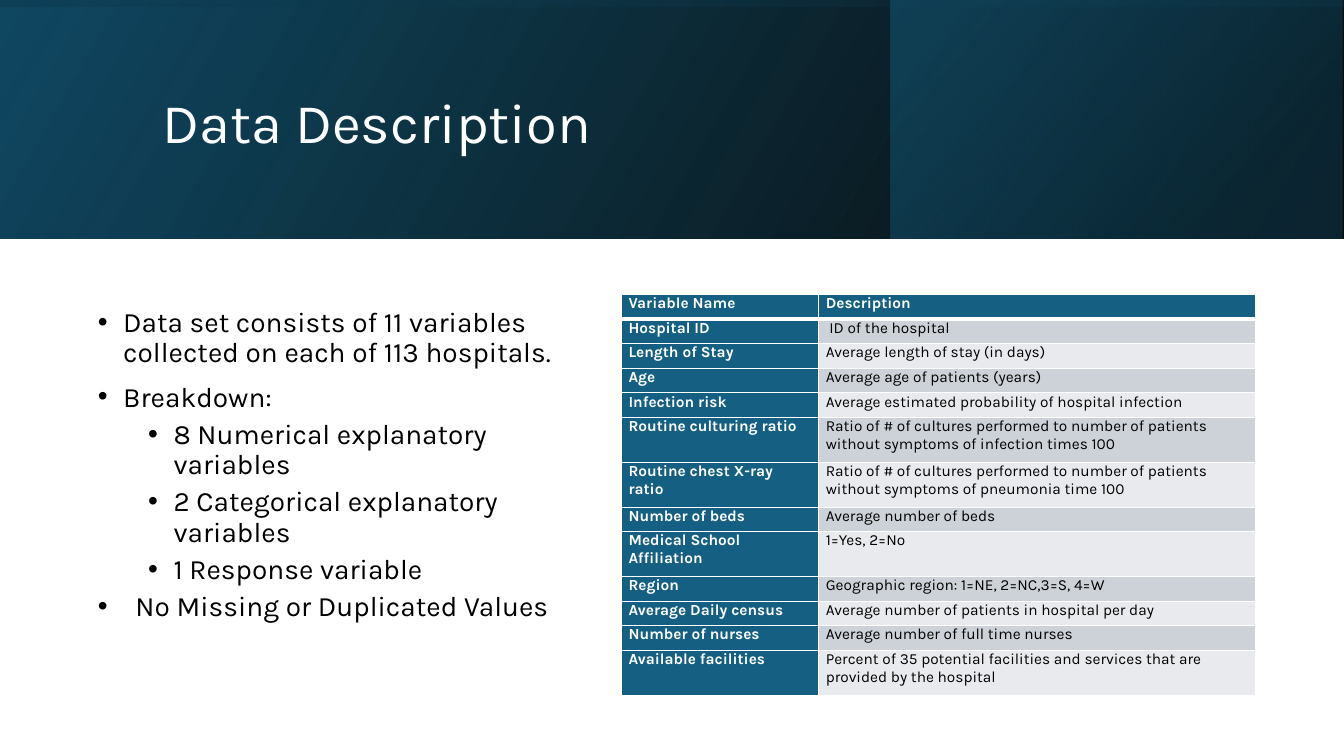
from dataclasses import dataclass

import pptx
import pptx.util
import pptx.oxml.ns
from lxml import etree
from pptx.dml.color import RGBColor
from pptx.enum.shapes import MSO_SHAPE
from pptx.enum.text import MSO_ANCHOR, MSO_AUTO_SIZE, PP_ALIGN

Cm = pptx.util.Cm
Pt = pptx.util.Pt
qn = pptx.oxml.ns.qn


@dataclass(frozen=True)
class Theme:
    font: str = "Karla"
    title_size: int = 40
    list_size: int = 20
    table_size: int = 11
    light: str = "FFFFFF"
    dark: str = "000000"
    accent: str = "156082"
    deep: str = "104862"
    shade: str = "0B3041"
    bands: tuple = ("CCD2D8", "E8EAED")


THEME = Theme()
SLIDE_WIDTH, SLIDE_HEIGHT, BANNER_HEIGHT = 33.87, 19.05, 6.02

TITLE = "Data Description"
POINTS = [
    ("Data set consists of 11 variables collected on each of 113 hospitals.", 0, 0.64, 0.64),
    ("Breakdown:", 0, 0.64, 0.64),
    ("8 Numerical explanatory variables", 1, 1.91, 0.64),
    ("2 Categorical explanatory variables", 1, 1.91, 0.64),
    ("1 Response variable", 1, 1.91, 0.64),
    ("No Missing or Duplicated Values", 1, 0.95, 0.95),
]
VARIABLES = [
    ("Variable Name", "Description"),
    ("Hospital ID", " ID of the hospital"),
    ("Length of Stay", "Average length of stay (in days)"),
    ("Age", "Average age of patients (years)"),
    ("Infection risk", "Average estimated probability of hospital infection"),
    ("Routine culturing ratio",
     "Ratio of # of cultures performed to number of patients without symptoms of infection times 100"),
    ("Routine chest X-ray ratio",
     "Ratio of # of cultures performed to number of patients without symptoms of pneumonia time 100"),
    ("Number of beds", "Average number of beds"),
    ("Medical School Affiliation", "1=Yes, 2=No"),
    ("Region", "Geographic region: 1=NE, 2=NC,3=S, 4=W"),
    ("Average Daily census", "Average number of patients in hospital per day"),
    ("Number of nurses", "Average number of full time nurses"),
    ("Available facilities",
     "Percent of 35 potential facilities and services that are provided by the hospital"),
]
TWO_LINE_ROWS = {5, 6, 8, 12}
COLUMN_WIDTHS = (4.97, 11.03)
ROW_HEIGHT, TWO_LINE_HEIGHT = 0.62, 1.13

SIDE = (SLIDE_WIDTH - BANNER_HEIGHT) / 2
BANNER_LAYERS = [
    ((0, 0, SLIDE_WIDTH, BANNER_HEIGHT), 0, 330,
     [(0, THEME.dark, 96), (100, THEME.deep, 100)]),
    ((22.45, 0, 11.39, BANNER_HEIGHT), 0, 320,
     [(19, THEME.shade, 68), (100, THEME.accent, 48)]),
    ((SIDE, -SIDE, BANNER_HEIGHT, SLIDE_WIDTH), 270, 350,
     [(23, THEME.deep, 16), (99, THEME.dark, 45)]),
]


def style_font(paragraph, size, color, bold=False):
    paragraph.font.name = THEME.font
    paragraph.font.size = Pt(size)
    paragraph.font.bold = bold
    paragraph.font.color.rgb = RGBColor.from_string(color)


def place(placeholder, left, top, width, height):
    placeholder.left, placeholder.top = Cm(left), Cm(top)
    placeholder.width, placeholder.height = Cm(width), Cm(height)
    frame = placeholder.text_frame
    frame.word_wrap = True
    frame.auto_size = MSO_AUTO_SIZE.NONE
    frame.vertical_anchor = MSO_ANCHOR.MIDDLE
    return frame


def add_banner_layer(slide, box, rotation, angle, stops):
    layer = slide.shapes.add_shape(MSO_SHAPE.RECTANGLE, *map(Cm, box))
    layer.shadow.inherit = False
    layer.rotation = rotation
    layer._element.spPr.xfrm.set("flipH", "1")
    layer.fill.gradient()
    layer.fill.gradient_angle = 360 - angle
    for stop, (position, color, _) in zip(layer.fill.gradient_stops, stops):
        stop.position = position / 100
        stop.color.rgb = RGBColor.from_string(color)
    for color_node, (_, _, opacity) in zip(layer._element.spPr.iter(qn("a:srgbClr")), stops):
        etree.SubElement(color_node, qn("a:alpha"), val=str(opacity * 1000))
    layer.line.fill.background()
    slide.shapes.title._element.addprevious(layer._element)


def add_title(slide):
    frame = place(slide.shapes.title, 3.84, 0.97, 27, 4.37)
    frame.text = TITLE
    heading = frame.paragraphs[0]
    heading.alignment = PP_ALIGN.LEFT
    heading.line_spacing = 0.9
    style_font(heading, THEME.title_size, THEME.light)


def add_points(slide):
    frame = place(slide.placeholders[1], 2.21, 7.21, 12.6, 10.11)
    frame.margin_bottom = Cm(1.2)
    frame.text = "\n".join(text for text, *_ in POINTS)
    for point, (_, level, indent, hanging) in zip(frame.paragraphs, POINTS):
        point.level = level
        point.line_spacing = 0.9
        point.space_before = Pt(5 if level else 10)
        style_font(point, THEME.list_size, THEME.dark)
        properties = point._p.get_or_add_pPr()
        properties.set("marL", str(Cm(indent)))
        properties.set("indent", str(-Cm(hanging)))
        bullet_font = etree.Element(qn("a:buFont"), typeface="Arial")
        bullet = etree.Element(qn("a:buChar"), char="•")
        properties.find(qn("a:defRPr")).addprevious(bullet_font)
        bullet_font.addnext(bullet)


def add_borders(cell, is_header):
    properties = cell._tc.get_or_add_tcPr()
    for index, side in enumerate(("lnL", "lnR", "lnT", "lnB")):
        points = 3 if is_header and side == "lnB" else 1
        border = etree.Element(qn(f"a:{side}"), w=str(Pt(points)))
        fill = etree.SubElement(border, qn("a:solidFill"))
        etree.SubElement(fill, qn("a:srgbClr"), val=THEME.light)
        properties.insert(index, border)


def add_variables(slide):
    heights = [TWO_LINE_HEIGHT if row in TWO_LINE_ROWS else ROW_HEIGHT
               for row in range(len(VARIABLES))]
    table = slide.shapes.add_table(
        len(VARIABLES), len(COLUMN_WIDTHS), Cm(15.65), Cm(7.42),
        Cm(sum(COLUMN_WIDTHS)), Cm(sum(heights))).table
    for column, width in zip(table.columns, COLUMN_WIDTHS):
        column.width = Cm(width)
    for row, height in zip(table.rows, heights):
        row.height = Cm(height)
    for row, texts in enumerate(VARIABLES):
        for column, text in enumerate(texts):
            cell = table.cell(row, column)
            strong = row == 0 or column == 0
            cell.text = text
            cell.margin_left = cell.margin_right = Cm(0.19)
            cell.margin_top = cell.margin_bottom = 0
            cell.fill.solid()
            cell.fill.fore_color.rgb = RGBColor.from_string(
                THEME.accent if strong else THEME.bands[(row - 1) % 2])
            style_font(cell.text_frame.paragraphs[0], THEME.table_size,
                       THEME.light if strong else THEME.dark, strong)
            add_borders(cell, row == 0)


def main():
    deck = pptx.Presentation()
    deck.slide_width, deck.slide_height = Cm(SLIDE_WIDTH), Cm(SLIDE_HEIGHT)
    slide = deck.slides.add_slide(deck.slide_layouts[1])
    for layer in BANNER_LAYERS:
        add_banner_layer(slide, *layer)
    add_title(slide)
    add_points(slide)
    add_variables(slide)
    deck.save("out.pptx")


if __name__ == "__main__":
    main()
